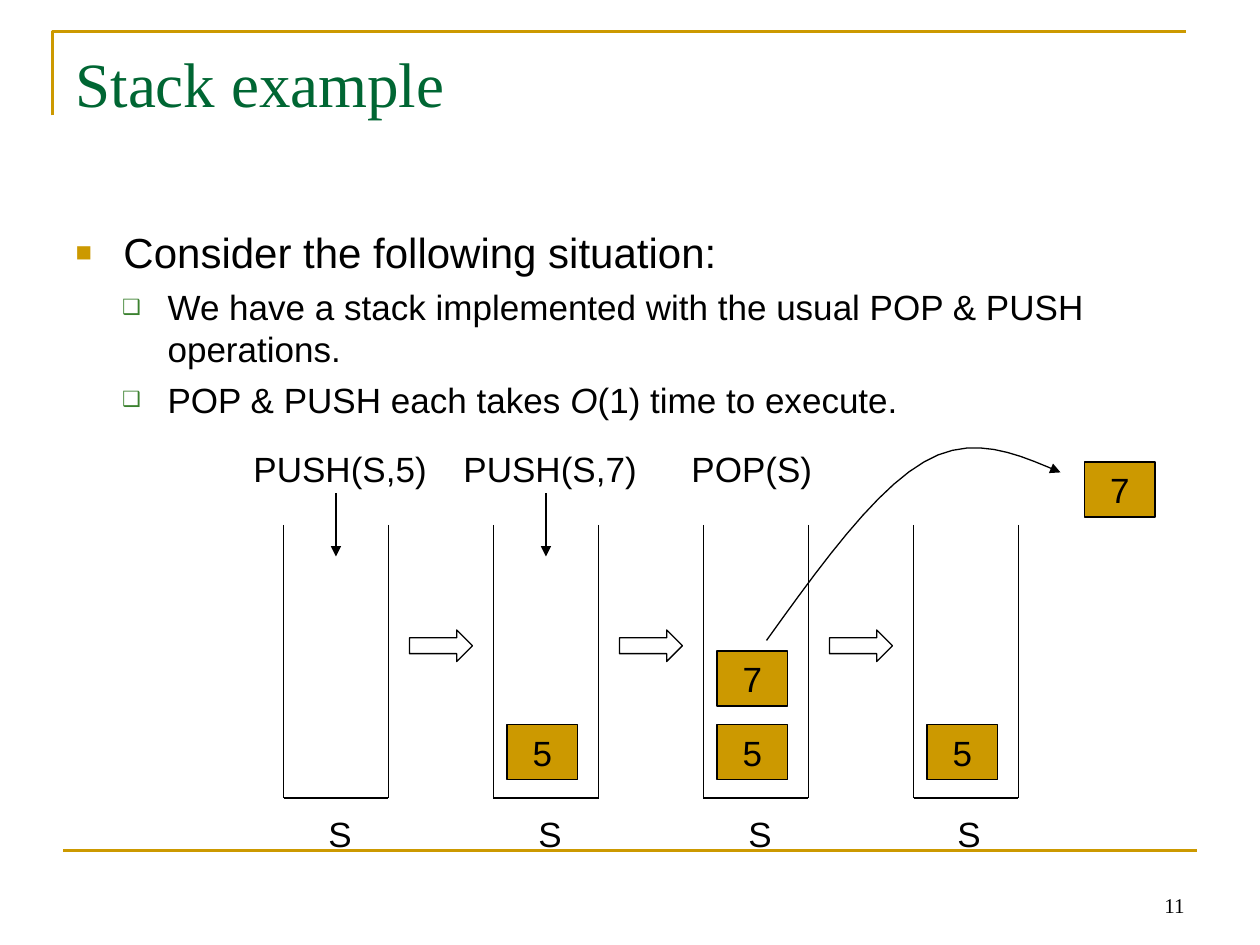
"""Build the stack example slide with its four stack states."""
from lxml import etree
from pptx import Presentation
from pptx.dml.color import RGBColor
from pptx.enum.shapes import MSO_CONNECTOR, MSO_SHAPE
from pptx.enum.text import MSO_ANCHOR, MSO_AUTO_SIZE, PP_ALIGN
from pptx.oxml.ns import qn
from pptx.util import Inches, Pt

LINE = MSO_CONNECTOR.STRAIGHT
RECT, ARROW = MSO_SHAPE.RECTANGLE, MSO_SHAPE.RIGHT_ARROW
TOP, MIDDLE, BOTTOM = MSO_ANCHOR.TOP, MSO_ANCHOR.MIDDLE, MSO_ANCHOR.BOTTOM
LEFT, CENTER, RIGHT = PP_ALIGN.LEFT, PP_ALIGN.CENTER, PP_ALIGN.RIGHT
FIXED = MSO_AUTO_SIZE.NONE

THEME = {
    "gold": "CC9900", "green": "006633", "leaf": "3B812F", "ink": "000000",
    "sans": "Arial", "serif": "Times New Roman",
    "title": 36, "lead": 24, "text": 20, "page": 12, "rule": 1.5, "thin": 0.75,
}

deck = Presentation()
deck.slide_width, deck.slide_height = Inches(10), Inches(7.5)
slide = deck.slides.add_slide(deck.slide_layouts[1])
shapes = slide.shapes
COL, ROW = deck.slide_width / 120, deck.slide_height / 90


def write(frame, runs, size, face="sans", color="ink", align=CENTER,
          anchor=MIDDLE, wrap=True, more=False):
    """Add one formatted paragraph to a text frame and return it."""
    form = {"auto_size": FIXED, "word_wrap": wrap, "vertical_anchor": anchor,
            "margin_left": Inches(0.1), "margin_right": Inches(0.1),
            "margin_top": Inches(0.05), "margin_bottom": Inches(0.05)}
    for name, value in form.items():
        setattr(frame, name, value)
    para = frame.add_paragraph() if more else frame.paragraphs[0]
    para.alignment = align
    para.space_before = Pt(5 if more else 0)
    for words, slant in runs:
        run = para.add_run()
        run.text = words
        font = {"name": THEME[face], "size": Pt(THEME[size]),
                "bold": False, "italic": slant}
        for name, value in font.items():
            setattr(run.font, name, value)
        run.font.color.rgb = RGBColor.from_string(THEME[color])
    return para


def trim(shape, color="ink", width="thin", fill=None, tip=False):
    """Set line, fill, arrowhead and shadow of a shape or connector."""
    shape.line.color.rgb = RGBColor.from_string(THEME[color])
    shape.line.width = Pt(THEME[width])
    if fill:
        shape.fill.solid()
        shape.fill.fore_color.rgb = RGBColor.from_string(THEME[fill])
    elif hasattr(shape, "fill"):
        shape.fill.background()
    props = shape._element.spPr
    if tip:
        etree.SubElement(props.find(qn("a:ln")), qn("a:tailEnd"), type="triangle")
    etree.SubElement(props, qn("a:effectLst"))


pen = shapes.build_freeform(int(5 * COL), int(11 * ROW))
pen.add_line_segments([(5 * COL, 3 * ROW), (113 * COL, 3 * ROW)], close=False)
trim(pen.convert_to_shape(), "gold", "rule")
foot = shapes.add_connector(LINE, int(6 * COL), int(81 * ROW),
                            int(114 * COL), int(81 * ROW))
trim(foot, "gold", "rule")

title, body = shapes.title, slide.placeholders[1]
for holder, top, high in ((title, 3.6, 15), (body, 21, 59.4)):
    place = {"left": 6 * COL, "top": top * ROW, "width": 108 * COL, "height": high * ROW}
    for name, value in place.items():
        setattr(holder, name, int(value))
write(title.text_frame, [("Stack example", False)], "title", "serif", "green", LEFT, TOP)

points = [
    (0, [("Consider the following situation:", False)]),
    (1, [("We have a stack implemented with the usual POP & PUSH operations.", False)]),
    (1, [("POP & PUSH each takes ", False), ("O", True), ("(1) time to execute.", False)]),
]
marks = [("lead", 0.38, 0.38, "gold", "65000", "■"),
         ("text", 0.73, 0.36, "leaf", "60000", "❑")]
for level, runs in points:
    size, indent, hang, color, scale, sign = marks[level]
    para = write(body.text_frame, runs, size, align=LEFT, anchor=TOP, more=level > 0)
    para.level = level
    props = para._p.get_or_add_pPr()
    props.set("marL", str(Inches(indent)))
    props.set("indent", str(-Inches(hang)))
    tint = etree.SubElement(props, qn("a:buClr"))
    etree.SubElement(tint, qn("a:srgbClr"), val=THEME[color])
    etree.SubElement(props, qn("a:buSzPct"), val=scale)
    etree.SubElement(props, qn("a:buFont"), typeface=THEME["sans"])
    etree.SubElement(props, qn("a:buChar"), char=sign)

page = shapes.add_textbox(int(86 * COL), int(82 * ROW), int(28 * COL), int(6 * ROW))
write(page.text_frame, [("11", False)], "page", "serif", align=RIGHT, anchor=BOTTOM)

steps = [("PUSH(S,5)", 32.4, 32.4, []), ("PUSH(S,7)", 52.4, 52.4, ["5"]),
         ("POP(S)", 71.6, 72.4, ["5", "7"]), (None, None, 92.3, ["5"])]
cells, labels = [("7", 103.3, 44)], []
for step, (call, mid, base, items) in enumerate(steps):
    left = 27 + 20 * step
    right = left + 10
    stack = shapes.add_group_shape()
    for x, y, end in ((left, 50, left), (left, 76, right), (right, 50, right)):
        trim(stack.shapes.add_connector(LINE, int(x * COL), int(y * ROW),
                                        int(end * COL), int(76 * ROW)))
    labels.append(("S", base, 76.8))
    if call:
        labels.append((call, mid, 42))
        arrow = shapes.add_shape(ARROW, int((right + 2) * COL), int(60 * ROW),
                                 int(6 * COL), int(3 * ROW))
        trim(arrow)
    if call and call.startswith("PUSH"):
        drop = shapes.add_connector(LINE, int((left + 5) * COL), int(47 * ROW),
                                    int((left + 5) * COL), int(53 * ROW))
        trim(drop, tip=True)
    cells += [(item, left + 1.3, 69 - 7 * rank) for rank, item in enumerate(items)]

for words, mid, top in labels:
    wide = 2.5 + 1.8 * len(words)
    label = shapes.add_textbox(int((mid - wide / 2) * COL), int(top * ROW),
                               int(wide * COL), int(5.25 * ROW))
    write(label.text_frame, [(words, False)], "text", anchor=TOP, wrap=False)

for item, left, top in cells:
    cell = shapes.add_shape(RECT, int(left * COL), int(top * ROW),
                            int(6.7 * COL), int(5.25 * ROW))
    trim(cell, fill="gold")
    write(cell.text_frame, [(item, False)], "text")

bends = [((73, 61), (78.1, 53.9), (83.3, 46.7), (88, 44)),
         ((88, 44), (92.6, 41.3), (96.8, 43.2), (101, 45))]
trail = []
for bend in bends:
    for part in range(1, 11):
        t = part / 10
        share = ((1 - t) ** 3, 3 * t * (1 - t) ** 2, 3 * t * t * (1 - t), t ** 3)
        trail.append((sum(s * x for s, (x, y) in zip(share, bend)) * COL,
                      sum(s * y for s, (x, y) in zip(share, bend)) * ROW))
pen = shapes.build_freeform(int(73 * COL), int(61 * ROW))
pen.add_line_segments(trail, close=False)
trim(pen.convert_to_shape(), tip=True)

deck.save("out.pptx")
